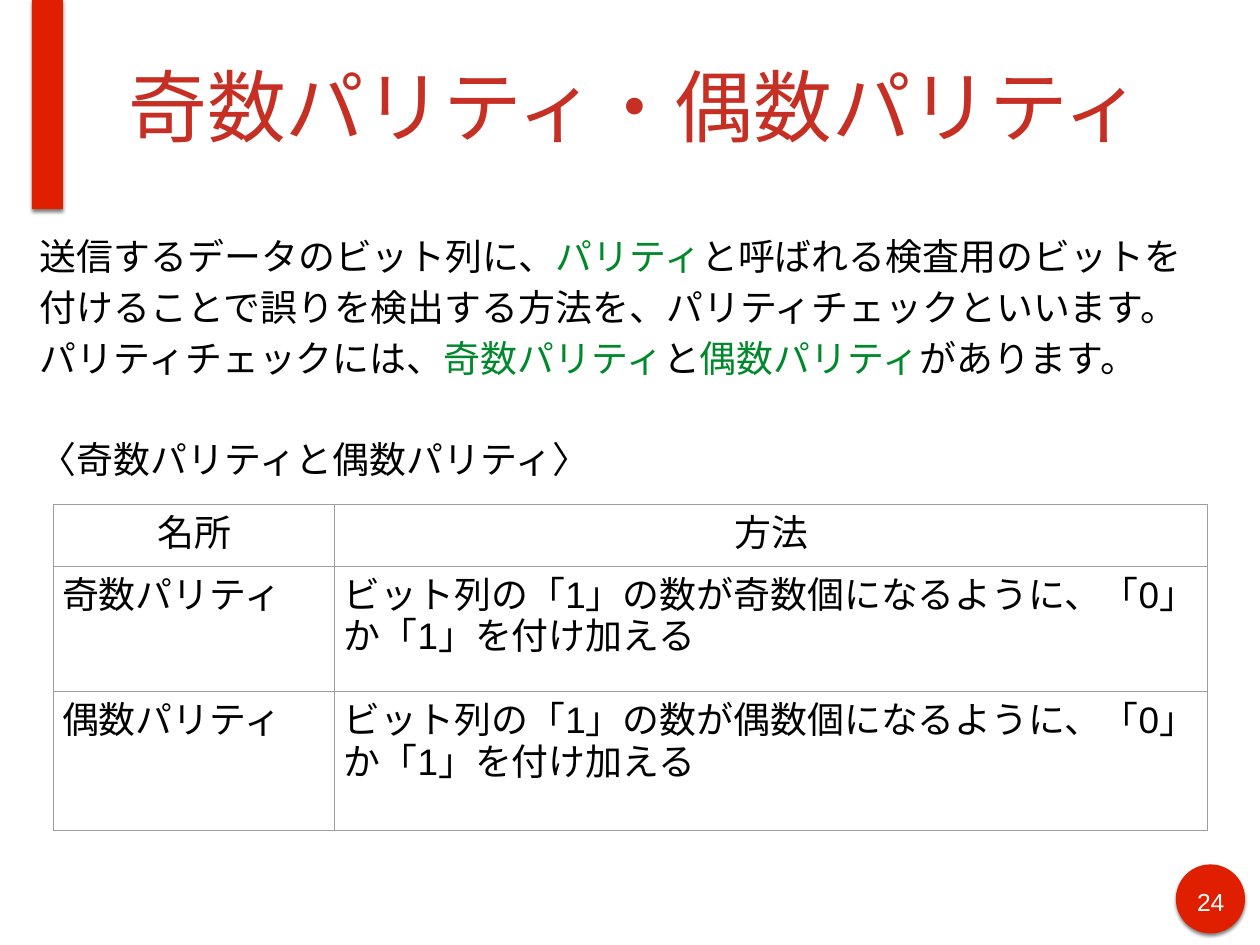
"""Build the slide on odd and even parity."""
import pptx
import pptx.dml.color
import pptx.enum.lang
import pptx.enum.shapes
import pptx.enum.text
import pptx.oxml
import pptx.oxml.ns
import pptx.util
from lxml import etree

W, H = pptx.util.Inches(14.22), pptx.util.Inches(10.67)
RED, GREEN, BLACK, WHITE = "DF1F00", "00882B", "000000", "FFFFFF"
FONT, BODY = "Arial", 30
CENTER = pptx.enum.text.PP_ALIGN.CENTER
LEFT = pptx.enum.text.PP_ALIGN.LEFT
NS = pptx.oxml.ns.nsdecls("a")


def rgb(hex_color):
    return pptx.dml.color.RGBColor.from_string(hex_color)


def across(share):
    return round(W * share / 100)


def down(share):
    return round(H * share / 100)


def box(x, y, w, h):
    return across(x), down(y), across(w), down(h)


def add_run(p, text, size=BODY, color=BLACK):
    r = p.add_run()
    r.text = text
    r.font.size = pptx.util.Pt(size)
    r.font.name = FONT
    r.font.color.rgb = rgb(color)
    r.font.language_id = pptx.enum.lang.MSO_LANGUAGE_ID.JAPANESE
    ea = etree.SubElement(r._r.get_or_add_rPr(), pptx.oxml.ns.qn("a:ea"))
    ea.set("typeface", FONT)


def add_block(s, kind, *place):
    sp = s.shapes.add_shape(kind, *box(*place))
    sp.fill.solid()
    sp.fill.fore_color.rgb = rgb(RED)
    sp.line.fill.background()
    sp.shadow.inherit = False
    effects = sp._element.spPr.find(pptx.oxml.ns.qn("a:effectLst"))
    effects.append(pptx.oxml.parse_xml(
        f'<a:outerShdw {NS} blurRad="38100" dist="25400" dir="5400000" rotWithShape="0">'
        f'<a:srgbClr val="{BLACK}"><a:alpha val="49000"/></a:srgbClr></a:outerShdw>'))


def add_text(s, *place, anchor=pptx.enum.text.MSO_ANCHOR.TOP):
    tf = s.shapes.add_textbox(*box(*place)).text_frame
    tf.word_wrap = True
    tf.vertical_anchor = anchor
    tf.margin_left = tf.margin_right = pptx.util.Inches(0.06)
    tf.margin_top = tf.margin_bottom = pptx.util.Inches(0.06)
    return tf


def add_body(s):
    tf = add_text(s, 2.74, 23.43, 92.55, 68.6)
    p = tf.paragraphs[0]
    p.line_spacing = 1.15
    for text, color in (
        ("送信するデータのビット列に、", BLACK),
        ("パリティ", GREEN),
        ("と呼ばれる検査用のビットを付けることで誤りを検出する方法を、"
         "パリティチェックといいます。パリティチェックには、", BLACK),
        ("奇数パリティ", GREEN),
        ("と", BLACK),
        ("偶数パリティ", GREEN),
        ("があります。", BLACK),
    ):
        add_run(p, text, color=color)
    p = tf.add_paragraph()
    p.line_spacing = 1.15
    p.space_before = pptx.util.Pt(41.5)
    add_run(p, "〈奇数パリティと偶数パリティ〉")


def set_cell(cell, text, align):
    cell.fill.background()
    cell.margin_left = cell.margin_right = pptx.util.Inches(0.1)
    cell.margin_top = cell.margin_bottom = pptx.util.Inches(0.1)
    p = cell.text_frame.paragraphs[0]
    p.alignment = align
    add_run(p, text)
    tcPr = cell._tc.get_or_add_tcPr()
    for i, side in enumerate(("lnL", "lnR", "lnT", "lnB")):
        tcPr.insert(i, pptx.oxml.parse_xml(
            f'<a:{side} {NS} w="9525"><a:solidFill><a:srgbClr val="9E9E9E"/>'
            f'</a:solidFill></a:{side}>'))


def add_parity_table(s):
    rows = [("名所", "方法")] + [
        (f"{kind}パリティ", f"ビット列の「1」の数が{kind}個になるように、「0」か「1」を付け加える")
        for kind in ("奇数", "偶数")]
    widths, heights = (22.36, 69.27), (6.56, 13.31, 14.62)
    place = box(4.22, 53.33, sum(widths), sum(heights))
    table = s.shapes.add_table(len(rows), len(widths), *place).table
    table.first_row = table.horz_banding = False
    for col, width in zip(table.columns, widths):
        col.width = across(width)
    for i, (row, height) in enumerate(zip(rows, heights)):
        table.rows[i].height = down(height)
        for j, text in enumerate(row):
            set_cell(table.cell(i, j), text, LEFT if i else CENTER)


def main():
    prs = pptx.Presentation()
    prs.slide_width, prs.slide_height = W, H
    s = prs.slides.add_slide(prs.slide_layouts[6])
    shapes = pptx.enum.shapes.MSO_SHAPE
    add_block(s, shapes.OVAL, 93.32, 91.47, 5.49, 7.31)
    add_block(s, shapes.RECTANGLE, 2.53, 0, 2.46, 22.12)
    title = add_text(s, 9.77, 0, 82.7, 22.12, anchor=pptx.enum.text.MSO_ANCHOR.MIDDLE)
    add_run(title.paragraphs[0], "奇数パリティ・偶数パリティ", 64, "C63024")
    number = add_text(s, 94.37, 93.25, 3.45, 3.66)
    number.paragraphs[0].alignment = CENTER
    add_run(number.paragraphs[0], "24", 20, WHITE)
    add_body(s)
    add_parity_table(s)
    prs.save("out.pptx")


if __name__ == "__main__":
    main()
